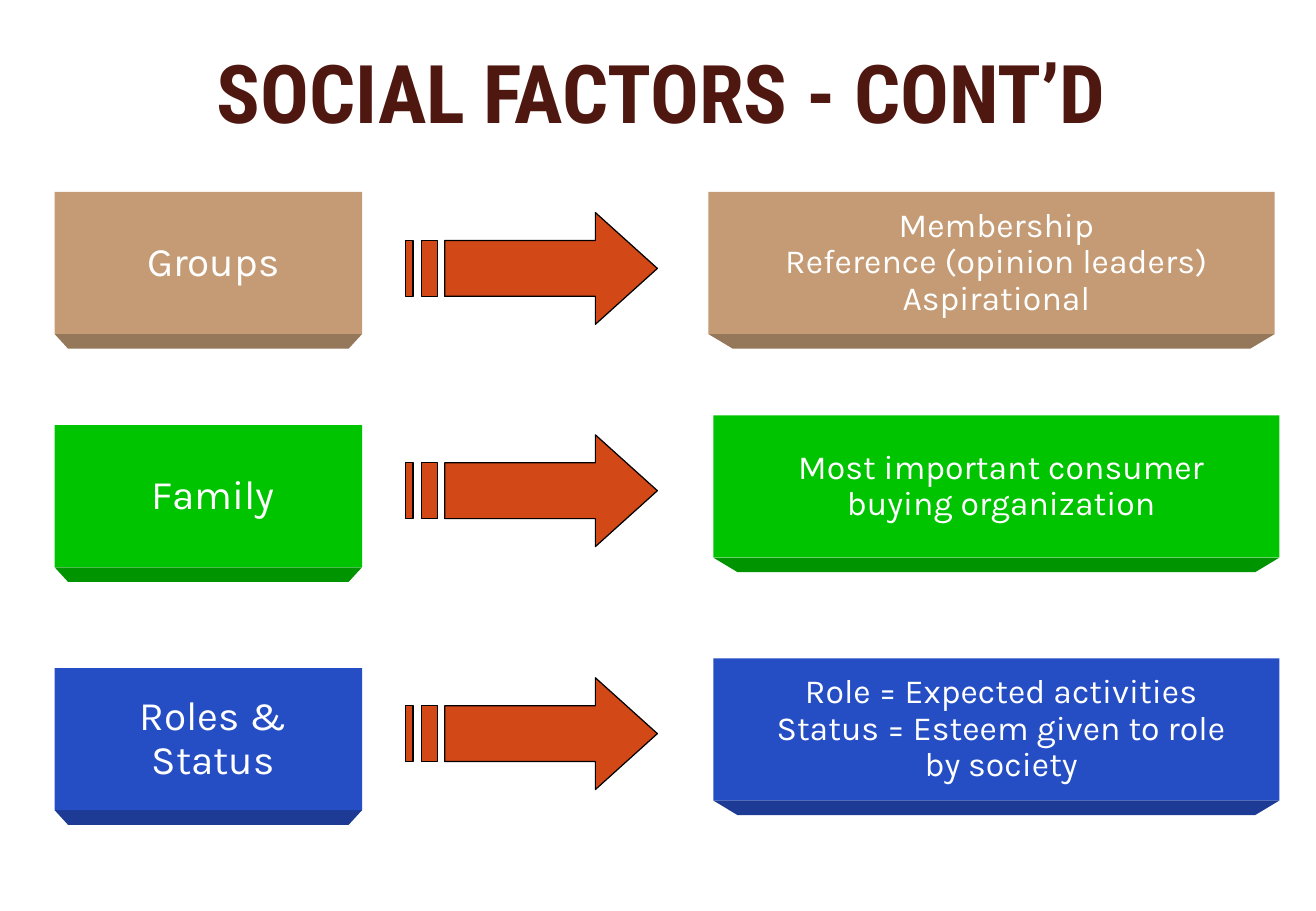
from pptx import Presentation
from pptx.dml.color import RGBColor
from pptx.enum.shapes import MSO_SHAPE as Shape
from pptx.enum.text import MSO_ANCHOR as Anchor, PP_ALIGN as Align
from pptx.util import Inches, Pt

WHITE = RGBColor(0xFF, 0xFF, 0xFF)
BLACK = RGBColor(0, 0, 0)
BROWN = RGBColor(0x4E, 0x17, 0x10)
ORANGE = RGBColor(0xD3, 0x48, 0x17)
TAN, DARK_TAN = RGBColor(0xC4, 0x9B, 0x74), RGBColor(0x95, 0x77, 0x59)
GREEN, DARK_GREEN = RGBColor(0, 0xC4, 0), RGBColor(0, 0x95, 0)
BLUE, DARK_BLUE = RGBColor(0x26, 0x4E, 0xC4), RGBColor(0x1D, 0x3B, 0x95)

TITLE = "SOCIAL FACTORS - CONT’D"
ROWS = [
    (["Groups"], (0.45, 1.58),
     ["Membership", "Reference (opinion leaders)", "Aspirational"], (5.83, 1.58),
     1.75, TAN, DARK_TAN),
    (["Family"], (0.45, 3.5),
     ["Most important consumer", "buying organization"], (5.87, 3.42),
     3.58, GREEN, DARK_GREEN),
    (["Roles &", "Status"], (0.45, 5.5),
     ["Role = Expected activities", "Status = Esteem given to role", "by society"],
     (5.87, 5.42), 5.58, BLUE, DARK_BLUE),
]
FACTOR_W, DETAIL_W, BOX_H = 2.53, 4.66, 1.17
EDGE_H = 0.12
ARROW = [(4.9, 0), (4.9, 0.23), (3.66, 0.23), (3.66, 0.69),
         (4.9, 0.69), (4.9, 0.92), (5.41, 0.46)]
BARS = [[(x, 0.23), (x, 0.69), (x + w, 0.69), (x + w, 0.23)]
        for x, w in [(3.47, 0.13), (3.34, 0.06)]]

deck = Presentation()
deck.slide_width, deck.slide_height = Inches(10.83), Inches(7.5)
slide = deck.slides.add_slide(deck.slide_layouts[6])


def write(frame, lines, size, face, color, bold=False):
    frame.vertical_anchor = Anchor.MIDDLE
    for i, line in enumerate(lines):
        para = frame.add_paragraph() if i else frame.paragraphs[0]
        para.text = line
        para.alignment = Align.CENTER
        para.line_spacing = 0.9
        font = para.font
        font.size, font.name, font.bold = Pt(size), face, bold
        font.color.rgb = color


def paint(shape, fill, line=None):
    shape.shadow.inherit = False
    shape.fill.solid()
    shape.fill.fore_color.rgb = fill
    if line is None:
        shape.line.fill.background()
    else:
        shape.line.color.rgb = line
        shape.line.width = Pt(0.75)


def outline(loops, top):
    loops = [[(Inches(x), Inches(top + y)) for x, y in loop] for loop in loops]
    pen = slide.shapes.build_freeform(*loops[0][0])
    for i, loop in enumerate(loops):
        if i:
            pen.move_to(*loop[0])
        pen.add_line_segments(loop[1:], close=True)
    return pen.convert_to_shape()


def block(lines, spot, width, inset, size, fill, dark):
    left, top = spot
    right = left + width
    edge = [(left, 0), (right, 0), (right - inset, EDGE_H), (left + inset, EDGE_H)]
    paint(outline([edge], top + BOX_H), dark)
    box = slide.shapes.add_shape(Shape.RECTANGLE, Inches(left), Inches(top),
                                 Inches(width), Inches(BOX_H))
    paint(box, fill)
    frame = box.text_frame
    frame.word_wrap = False
    frame.margin_left, frame.margin_right = Inches(0.17), Inches(0.09)
    frame.margin_top = frame.margin_bottom = Inches(0.04)
    write(frame, lines, size, "Karla", WHITE)


for factor, spot, detail, place, top, fill, dark in ROWS:
    block(factor, spot, FACTOR_W, 0.11, 24, fill, dark)
    paint(outline([ARROW, *BARS], top), ORANGE, BLACK)
    block(detail, place, DETAIL_W, 0.2, 20, fill, dark)

title = slide.shapes.add_textbox(Inches(0.33), Inches(0.35), Inches(10.23), Inches(0.9))
title.text_frame.word_wrap = True
write(title.text_frame, [TITLE], 48, "Roboto Condensed", BROWN, True)

deck.save("out.pptx")
